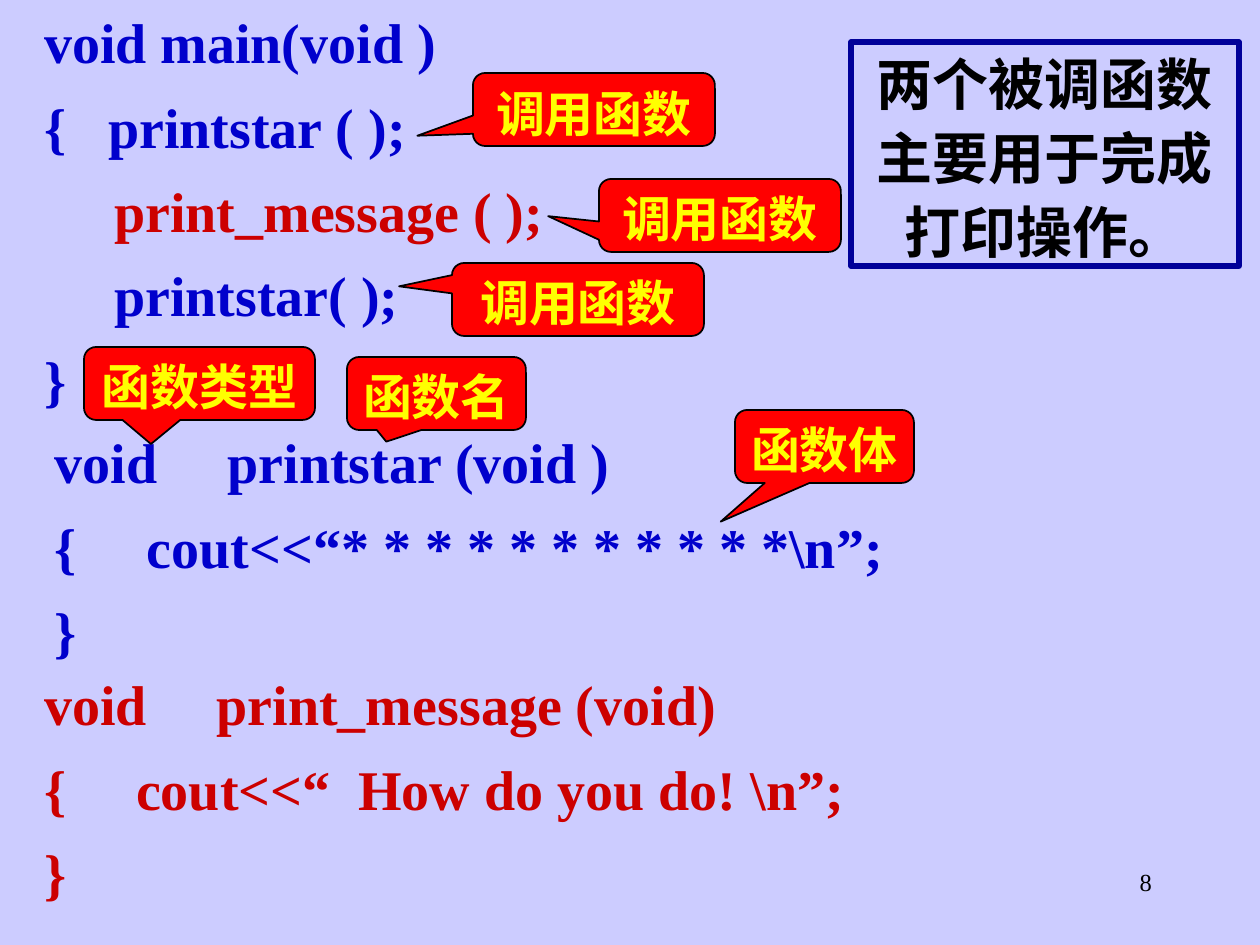
from pptx import Presentation
from pptx import util as u
from pptx.dml.color import RGBColor
from pptx.enum import shapes, text

EMU_PER_PX = 914400 / 126
FONT = "Times New Roman"
COLORS = {
    "background": "CCCCFF",
    "code": "0000CC",
    "message": "CC0000",
    "callout": "FF0000",
    "label": "FFFF00",
    "note_border": "000099",
    "black": "000000",
}

MAIN_CODE = [
    [("void main(void )", "code")],
    [("{   printstar ( );", "code")],
    [("     ", "code"), ("print_message ( );", "message")],
    [("     printstar( );", "code")],
    [("}", "code")],
]
PRINTSTAR_CODE = [
    [("void     printstar (void )", "code")],
    [("{     cout<<“* * * * * * * * * * *\\n”;", "code")],
    [("}", "code")],
]
PRINT_MESSAGE_CODE = [
    [("void     print_message (void)", "message")],
    [("{     cout<<“  How do you do! \\n”;", "message")],
    [("}", "message")],
]

CALLOUT_HEIGHT = 73
# label, left, top, width, tip offset from the centre as fractions of the size
CALLOUTS = [
    ("调用函数", 473, 73, 242, (-0.73, 0.36)),
    ("调用函数", 599, 179, 242, (-0.71, 0.01)),
    ("调用函数", 452, 263, 252, (-0.71, -0.18)),
    ("函数类型", 84, 347, 231, (-0.21, 0.83)),
    ("函数名", 347, 357, 179, (-0.28, 0.66)),
    ("函数体", 735, 410, 179, (-0.58, 1.03)),
]


def px(length):
    return u.Emu(round(length * EMU_PER_PX))


def color(name):
    return RGBColor.from_string(COLORS[name])


def prepare_frame(frame, anchor, margins=(2, 1)):
    frame.word_wrap = True
    frame.vertical_anchor = anchor
    frame.margin_left = frame.margin_right = px(margins[0])
    frame.margin_top = frame.margin_bottom = px(margins[1])


def add_run(paragraph, words, size, color_name, bold=True):
    run = paragraph.add_run()
    run.text = words
    run.font.name = FONT
    run.font.size = u.Pt(size)
    run.font.bold = bold
    run.font.color.rgb = color(color_name)


def add_code(slide, lines, left, top, width, height):
    box = slide.shapes.add_textbox(*map(px, (left, top, width, height)))
    frame = box.text_frame
    prepare_frame(frame, text.MSO_ANCHOR.TOP)
    for index, line in enumerate(lines):
        paragraph = frame.add_paragraph() if index else frame.paragraphs[0]
        paragraph.line_spacing = 1.1
        if index:
            paragraph.space_before = u.Pt(6)
        for words, color_name in line:
            add_run(paragraph, words, 32, color_name)


def add_centred_shape(slide, preset, bounds, words, size, color_name, anchor):
    shape = slide.shapes.add_shape(preset, *map(px, bounds))
    shape.shadow.inherit = False
    prepare_frame(shape.text_frame, anchor)
    paragraph = shape.text_frame.paragraphs[0]
    paragraph.alignment = text.PP_ALIGN.CENTER
    paragraph.line_spacing = 1.1
    add_run(paragraph, words, size, color_name)
    return shape


def add_callout(slide, label, left, top, width, tip):
    callout = add_centred_shape(
        slide, shapes.MSO_SHAPE.ROUNDED_RECTANGULAR_CALLOUT,
        (left, top, width, CALLOUT_HEIGHT), label, 28, "label",
        text.MSO_ANCHOR.MIDDLE)
    callout.adjustments[0], callout.adjustments[1] = tip
    callout.fill.solid()
    callout.fill.fore_color.rgb = color("callout")
    callout.line.color.rgb = color("black")
    callout.line.width = u.Pt(1)


def add_note(slide, words, *bounds):
    note = add_centred_shape(slide, shapes.MSO_SHAPE.RECTANGLE, bounds, words,
                             32, "black", text.MSO_ANCHOR.TOP)
    note.fill.background()
    note.line.color.rgb = color("note_border")
    note.line.width = u.Pt(3)


def add_page_number(slide, number, *bounds):
    box = slide.shapes.add_textbox(*map(px, bounds))
    prepare_frame(box.text_frame, text.MSO_ANCHOR.TOP, margins=(13, 6))
    paragraph = box.text_frame.paragraphs[0]
    paragraph.alignment = text.PP_ALIGN.RIGHT
    add_run(paragraph, number, 14, "black", bold=False)


def main():
    deck = Presentation()
    deck.slide_width, deck.slide_height = px(1260), px(945)
    slide = deck.slides.add_slide(deck.slide_layouts[6])
    slide.background.fill.solid()
    slide.background.fill.fore_color.rgb = color("background")

    add_page_number(slide, "8", 903, 861, 262, 63)
    add_code(slide, MAIN_CODE, 42, 0, 851, 415)
    add_code(slide, PRINTSTAR_CODE, 53, 420, 1144, 246)
    add_code(slide, PRINT_MESSAGE_CODE, 42, 662, 1113, 246)
    for callout in CALLOUTS:
        add_callout(slide, *callout)
    add_note(slide, "两个被调函数主要用于完成打印操作。", 851, 42, 388, 224)

    deck.save("out.pptx")


if __name__ == "__main__":
    main()
